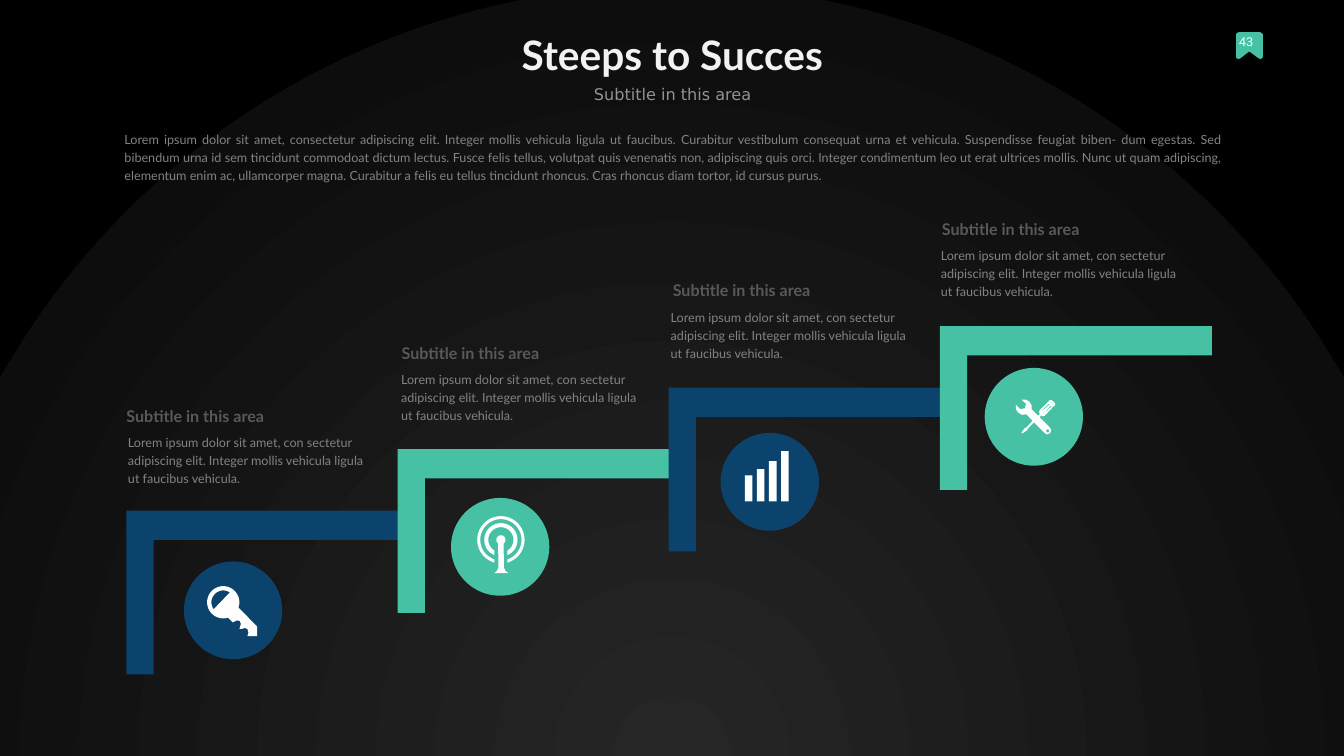
"""Build the "Steeps to Succes" staircase slide."""
from math import asin, cos, degrees, radians, sin

from lxml import etree
from pptx import Presentation
from pptx.dml.color import RGBColor
from pptx.enum.shapes import MSO_SHAPE
from pptx.enum.text import MSO_ANCHOR, PP_ALIGN
from pptx.oxml import parse_xml
from pptx.oxml.ns import nsdecls, qn
from pptx.util import Inches, Pt

OVAL, RECTANGLE = MSO_SHAPE.OVAL, MSO_SHAPE.RECTANGLE
LEFT, CENTER, JUSTIFY = PP_ALIGN.LEFT, PP_ALIGN.CENTER, PP_ALIGN.JUSTIFY
TOP, MIDDLE = MSO_ANCHOR.TOP, MSO_ANCHOR.MIDDLE

NAVY = RGBColor(0x0C, 0x43, 0x6D)
TEAL = RGBColor(0x46, 0xC1, 0xA4)
WHITE = RGBColor(0xFF, 0xFF, 0xFF)
TITLE_WHITE = RGBColor(0xF2, 0xF2, 0xF2)
SUBTITLE_GRAY = RGBColor(0x92, 0x92, 0x92)
BODY_GRAY = RGBColor(0x83, 0x83, 0x83)
HEADING_GRAY = RGBColor(0x59, 0x59, 0x59)
BACKGROUND_STOPS = [
    (0, RGBColor(0x80, 0x80, 0x80)),
    (0, RGBColor(0x26, 0x26, 0x26)),
    (100000, RGBColor(0x0D, 0x0D, 0x0D)),
    (100000, RGBColor(0x00, 0x00, 0x00)),
]

INTRO = (
    "Lorem ipsum dolor sit amet, consectetur adipiscing elit. Integer mollis vehicula ligula ut "
    "faucibus. Curabitur vestibulum consequat urna et vehicula. Suspendisse feugiat biben- dum "
    "egestas. Sed bibendum urna id sem tincidunt commodoat dictum lectus. Fusce felis tellus, "
    "volutpat quis venenatis non, adipiscing quis orci. Integer condimentum leo ut erat ultrices "
    "mollis. Nunc ut quam adipiscing, elementum enim ac, ullamcorper magna. Curabitur a felis eu "
    "tellus tincidunt rhoncus. Cras rhoncus diam tortor, id cursus purus."
)
SUBTITLE = "Subtitle in this area"
STEP_BODY = (
    "Lorem ipsum dolor sit amet, con sectetur adipiscing elit. "
    "Integer mollis vehicula ligula ut faucibus vehicula."
)
# Each step: colour, heading corner, body corner, circle corner
STEPS = [
    (NAVY, (2.51, 8.07), (2.54, 8.56), (3.65, 11.14)),
    (TEAL, (7.97, 6.82), (7.96, 7.32), (8.95, 9.88)),
    (NAVY, (13.35, 5.57), (13.31, 6.09), (14.3, 8.59)),
    (TEAL, (18.69, 4.36), (18.67, 4.85), (19.54, 7.3)),
]
STEP_OUTLINE = [(0, 0), (5.4, 0), (5.4, 0.58), (0.54, 0.58), (0.54, 3.25), (0, 3.25)]
BOOKMARK = [
    (24.61, 1.16), (24.58, 1.17), (24.54, 1.16), (24.53, 1.13), (24.53, 0.68), (24.54, 0.66),
    (24.58, 0.64), (25.01, 0.64), (25.04, 0.66), (25.06, 0.68), (25.06, 1.13), (25.04, 1.16),
    (25.01, 1.17), (24.98, 1.16), (24.79, 1.02),
]
KEY_BLADE = [
    (5.1, 12.43), (5.1, 12.62), (4.91, 12.62), (4.93, 12.55), (4.91, 12.48), (4.86, 12.46),
    (4.79, 12.48), (4.75, 12.48), (4.76, 12.45), (4.78, 12.38), (4.76, 12.32), (4.7, 12.31),
    (4.62, 12.35),
]
TOOLS = [
    (20.94, 8), (20.87, 7.94), (20.83, 7.94), (20.81, 7.96), (20.63, 8.14), (20.62, 8.19),
    (20.64, 8.21), (20.6, 8.25), (20.47, 8.12), (20.47, 8.04), (20.43, 7.97), (20.36, 7.93),
    (20.27, 7.93), (20.36, 8.01), (20.34, 8.1), (20.25, 8.12), (20.16, 8.03), (20.16, 8.12),
    (20.21, 8.19), (20.28, 8.23), (20.37, 8.22), (20.49, 8.35), (20.37, 8.48), (20.33, 8.5),
    (20.27, 8.59), (20.28, 8.6), (20.38, 8.54), (20.4, 8.5), (20.52, 8.38), (20.73, 8.59),
    (20.78, 8.62), (20.84, 8.59), (20.86, 8.54), (20.84, 8.49), (20.63, 8.28), (20.66, 8.24),
    (20.68, 8.26), (20.73, 8.25), (20.91, 8.06), (20.94, 8.04),
]
HANDLE_SLITS = [
    [(20.69, 8.15), (20.68, 8.14), (20.81, 8.01), (20.83, 8.02)],
    [(20.73, 8.19), (20.72, 8.19), (20.85, 8.05), (20.87, 8.06)],
]


def set_background(slide):
    """Fill the background with a circular gradient centred below the slide."""
    slide.background.fill.solid()
    properties = slide.element.find(".//" + qn("p:bgPr"))
    gradient = parse_xml(
        f'<a:gradFill {nsdecls("a")} rotWithShape="1"><a:gsLst/><a:path path="circle">'
        '<a:fillToRect l="50000" t="130000" r="50000" b="-30000"/></a:path></a:gradFill>'
    )
    for position, color in BACKGROUND_STOPS:
        stop = etree.SubElement(gradient[0], qn("a:gs"), pos=str(position))
        etree.SubElement(stop, qn("a:srgbClr"), val=str(color))
    properties.replace(properties[0], gradient)


def add_text(slide, text, left, top, width, height, *, size, color, font="Lato", bold=False,
             align=LEFT, anchor=TOP, line_spacing=None, margin=0):
    """Add a wrapped text box holding one formatted paragraph."""
    frame = slide.shapes.add_textbox(*map(Inches, (left, top, width, height))).text_frame
    frame.word_wrap = True
    frame.vertical_anchor = anchor
    frame.margin_left = frame.margin_right = Inches(margin)
    frame.margin_top = frame.margin_bottom = Inches(margin)
    paragraph = frame.paragraphs[0]
    paragraph.alignment = align
    paragraph.line_spacing = line_spacing
    run = paragraph.add_run()
    run.text = text
    run.font.name, run.font.size, run.font.bold = font, Pt(size), bold
    run.font.color.rgb = color


def paint(shape, color):
    """Give a shape a plain fill without line or shadow."""
    shape.shadow.inherit = False
    shape.fill.solid()
    shape.fill.fore_color.rgb = color
    shape.line.fill.background()


def add_preset(shapes, kind, left, top, width, height, color):
    """Add a plain preset shape."""
    paint(shapes.add_shape(kind, *map(Inches, (left, top, width, height))), color)


def add_outline(shapes, contours, color):
    """Add a closed freeform; contours after the first cut holes."""
    first, *holes = [[(Inches(x), Inches(y)) for x, y in contour] for contour in contours]
    builder = shapes.build_freeform(*first[0])
    builder.add_line_segments(first[1:], close=True)
    for hole in holes:
        builder.move_to(*hole[0])
        builder.add_line_segments(hole[1:], close=True)
    paint(builder.convert_to_shape(), color)


def arc(x, y, radius, start, end, count=40):
    """Return points on an arc, with angles in degrees clockwise from the right."""
    angles = [radians(start + (end - start) * i / count) for i in range(count + 1)]
    return [(x + radius * cos(angle), y + radius * sin(angle)) for angle in angles]


def add_key(slide):
    """Draw the key icon."""
    head = arc(4.43, 11.95, 0.32, 73, 379)
    hole = arc(4.43, 11.95, 0.235, 144, 304)
    add_outline(slide.shapes, [head + KEY_BLADE, hole], WHITE)


def add_antenna(slide):
    """Draw the antenna icon: two open rings and a mast."""
    shapes = slide.shapes.add_group_shape().shapes
    x, y = 9.94, 10.71
    for outer, inner in ((0.33, 0.25), (0.47, 0.41)):
        gap_outer, gap_inner = (degrees(asin(0.13 / radius)) for radius in (outer, inner))
        ring = arc(x, y, outer, 90 + gap_outer, 450 - gap_outer)
        ring += arc(x, y, inner, 450 - gap_inner, 90 + gap_inner)
        add_outline(shapes, [ring], WHITE)
    base = [(10, 11.26), (10.03, 11.33), (10.09, 11.37), (9.81, 11.37), (9.86, 11.33), (9.89, 11.26)]
    add_outline(shapes, [arc(x, y, 0.09, 127, 413) + base], WHITE)


def add_bars(slide):
    """Draw the rising bars icon."""
    shapes = slide.shapes.add_group_shape().shapes
    for index, height in enumerate((0.52, 0.64, 0.8, 1)):
        add_preset(shapes, RECTANGLE, 14.78 + 0.24 * index, 9.95 - height, 0.15, height, WHITE)


def add_tools(slide):
    """Draw the crossed wrench and screwdriver icon."""
    add_outline(slide.shapes, [TOOLS, arc(20.79, 8.55, 0.03, 0, 360), *HANDLE_SLITS], WHITE)


def add_step(slide, index, color, heading, body, circle):
    """Add one stair with its circle, heading and body text."""
    left, top = 2.51 + 5.38 * index, 10.13 - 1.22 * index
    add_outline(slide.shapes, [[(left + x, top + y) for x, y in STEP_OUTLINE]], color)
    add_preset(slide.shapes, OVAL, *circle, 1.95, 1.94, color)
    add_text(slide, SUBTITLE, *heading, 4.21, 0.39, size=23, color=HEADING_GRAY, bold=True)
    add_text(slide, STEP_BODY, *body, 4.86, 1.2, size=18, color=BODY_GRAY, line_spacing=1.2)


def main():
    """Build and save the slide."""
    presentation = Presentation()
    presentation.slide_width, presentation.slide_height = Inches(26.67), Inches(15)
    slide = presentation.slides.add_slide(presentation.slide_layouts[6])
    set_background(slide)
    add_outline(slide.shapes, [BOOKMARK], TEAL)
    add_text(slide, "43", 24.59, 0.67, 0.4, 0.39, size=18, color=WHITE, font="Arial")
    add_text(slide, "Steeps to Succes", 3.61, 0.55, 19.46, 1.07, size=58, color=TITLE_WHITE,
             bold=True, align=CENTER, anchor=MIDDLE, margin=0.06)
    add_text(slide, SUBTITLE, 3.62, 1.68, 19.46, 0.39, size=23, color=SUBTITLE_GRAY,
             font="DejaVu Sans", align=CENTER)
    add_text(slide, INTRO, 2.47, 2.56, 21.78, 1.04, size=18, color=BODY_GRAY, align=JUSTIFY,
             line_spacing=1.2)
    for index, step in enumerate(STEPS):
        add_step(slide, index, *step)
    for add_icon in (add_key, add_antenna, add_bars, add_tools):
        add_icon(slide)
    presentation.save("out.pptx")


if __name__ == "__main__":
    main()
